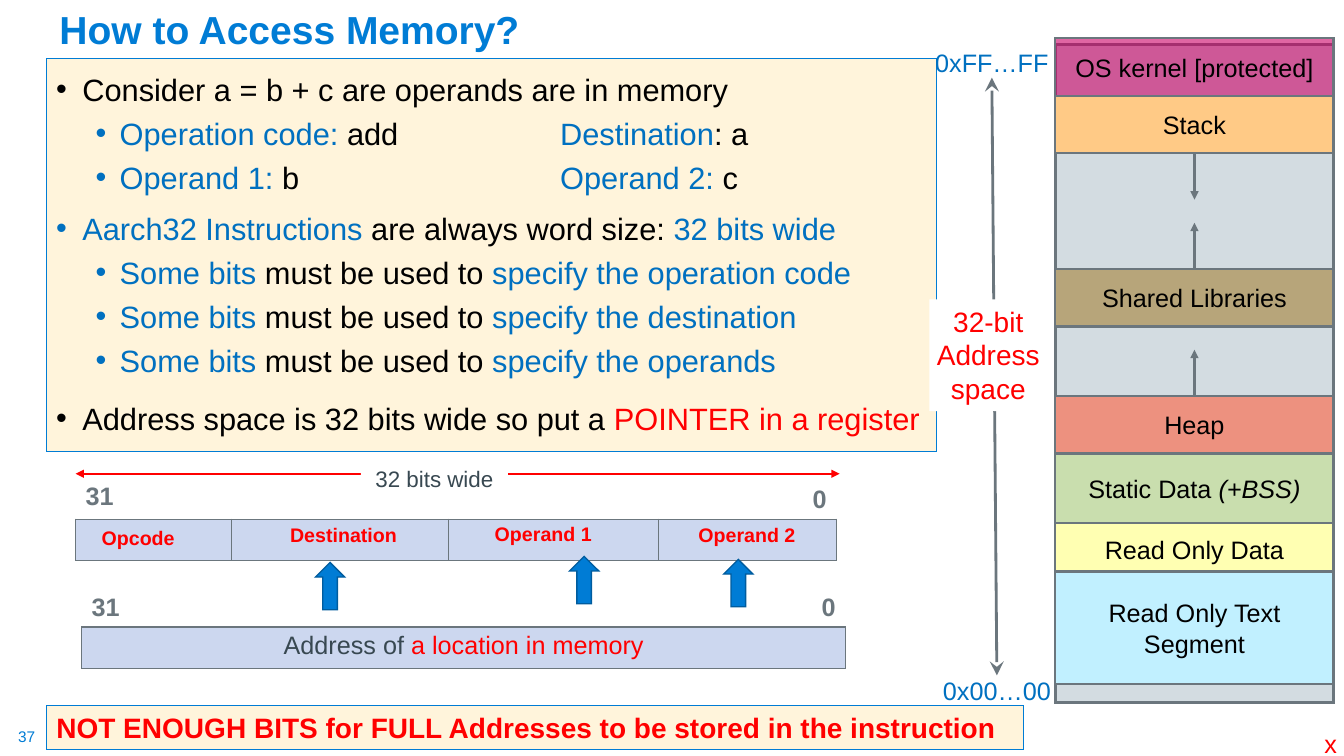
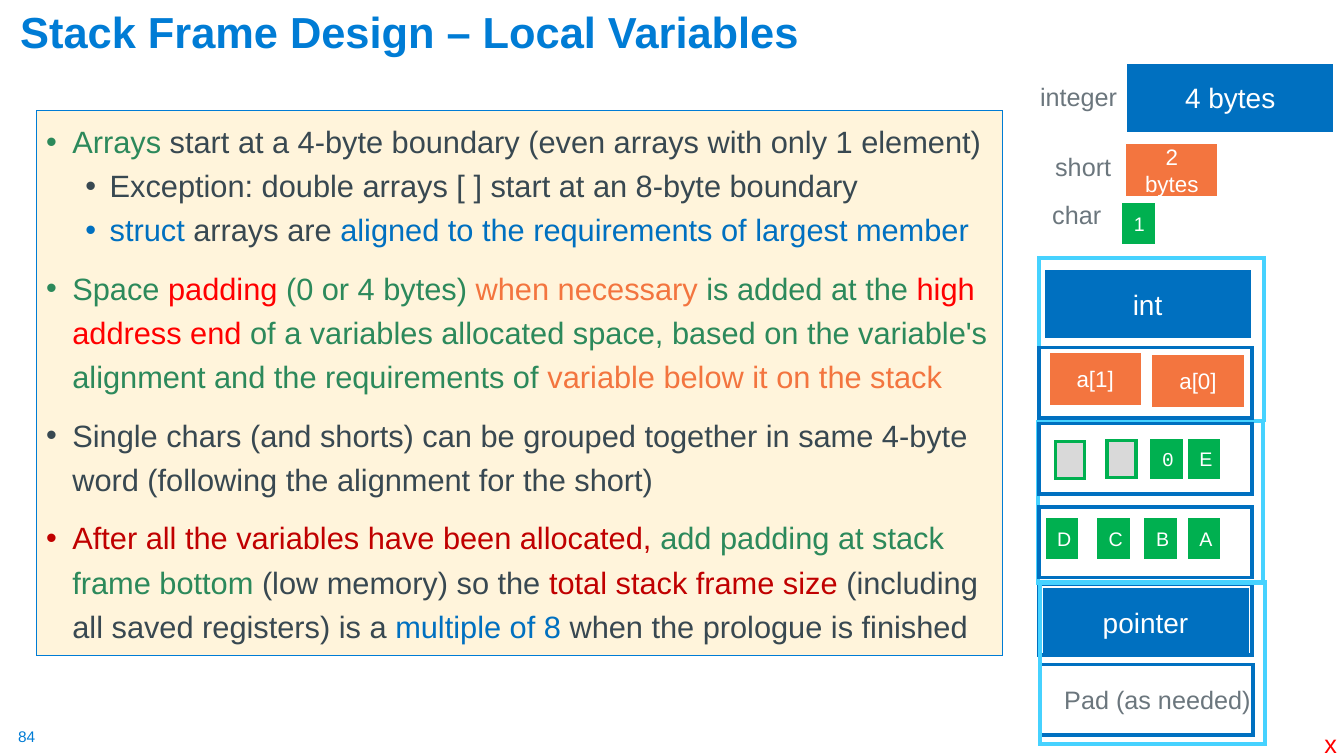
from lxml import etree
from pptx import Presentation
from pptx.dml.color import RGBColor
from pptx.enum import shapes, text
from pptx.oxml.ns import qn
from pptx.util import Inches, Pt

COLORS = {
    "brand": "007CD5", "brand_dark": "005C9E", "blue": "0070C0", "cyan": "46D2FF",
    "red": "FF0000", "dark_red": "C00000", "orange": "F3753F", "green": "2C895B",
    "bright_green": "00B050", "gray": "6B767D", "pale_gray": "D3DCE1", "slot": "D9D9D9",
    "ink": "384851", "black": "000000", "white": "FFFFFF", "cream": "FFF4DB",
    "field": "CCD7EF", "kernel": "CC0066", "stack": "FFCA86", "libraries": "B7A57A",
    "heap": "ED917F", "static": "C9DEAE", "constants": "FFFFB2", "code": "C1F0FF",
}
ALIGN = {"left": text.PP_ALIGN.LEFT, "center": text.PP_ALIGN.CENTER, "right": text.PP_ALIGN.RIGHT}
ANCHOR = {"top": text.MSO_ANCHOR.TOP, "middle": text.MSO_ANCHOR.MIDDLE,
          "bottom": text.MSO_ANCHOR.BOTTOM}
# Per bullet level: left margin, hanging indent, space before, line spacing
BULLETS = [(0.26, -0.26, 10, 1.2), (0.63, -0.24, 5, 1.0)]


def rgb(name):
    return RGBColor.from_string(COLORS[name])


def add_xml(parent, tag, **attributes):
    return etree.SubElement(parent, qn(tag), attributes)


def write_text(paragraph, content, size=18, color="black", bold=False, align="left",
               font="Arial", spacing=None):
    """Fill a paragraph from a string or a list of (text, colour, italic) runs."""
    paragraph.alignment = ALIGN[align]
    if spacing:
        paragraph.line_spacing = spacing
    runs = [(content, color)] if isinstance(content, str) else content
    for words, run_color, *italic in runs:
        run = paragraph.add_run()
        run.text = words
        run.font.name, run.font.size, run.font.bold = font, Pt(size), bold
        run.font.italic = bool(italic and italic[0])
        run.font.color.rgb = rgb(run_color)


def set_frame(frame, anchor="top", margins=(0.1, 0.05), wrap=True):
    frame.word_wrap = wrap
    frame.auto_size = text.MSO_AUTO_SIZE.NONE
    frame.vertical_anchor = ANCHOR[anchor]
    frame.margin_left = frame.margin_right = Inches(margins[0])
    frame.margin_top = frame.margin_bottom = Inches(margins[1])


def add_text(slide, area, content, margins=(0.1, 0.05), wrap=True, **style):
    shape = slide.shapes.add_textbox(*map(Inches, area))
    set_frame(shape.text_frame, margins=margins, wrap=wrap)
    write_text(shape.text_frame.paragraphs[0], content, **style)


def add_box(slide, area, content=None, fill=None, line=None, width=2.5, anchor="middle",
            margins=(0.1, 0.05), kind=shapes.MSO_SHAPE.RECTANGLE, **style):
    shape = slide.shapes.add_shape(kind, *map(Inches, area))
    shape.shadow.inherit = False
    if fill:
        shape.fill.solid()
        shape.fill.fore_color.rgb = rgb(fill)
    else:
        shape.fill.background()
    if line:
        shape.line.color.rgb = rgb(line)
        shape.line.width = Pt(width)
        add_xml(shape.element.spPr.find(qn("a:ln")), "a:miter", lim="800000")
    else:
        shape.line.fill.background()
    if content:
        set_frame(shape.text_frame, anchor, margins)
        write_text(shape.text_frame.paragraphs[0], content, **{"align": "center", **style})
    return shape


def add_bullets(slide, area, bullets):
    """Draw the cream panel; each bullet is (level, runs) with an optional line spacing."""
    frame = add_box(slide, area, fill="cream", line="brand", width=0.75).text_frame
    set_frame(frame)
    for index, (level, runs, *own_spacing) in enumerate(bullets):
        left, indent, before, spacing = BULLETS[level]
        paragraph = frame.add_paragraph() if index else frame.paragraphs[0]
        paragraph.level = level
        properties = paragraph._p.get_or_add_pPr()
        properties.set("marL", str(Inches(left)))
        properties.set("indent", str(Inches(indent)))
        add_xml(properties, "a:buFont", typeface="Arial")
        add_xml(properties, "a:buChar", char="•")
        if any("\t" in run[0] for run in runs):
            tabs = add_xml(properties, "a:tabLst")
            add_xml(tabs, "a:tab", pos=str(Inches(5)), algn="l")
        paragraph.space_before = Pt(before if index else 0)
        write_text(paragraph, runs, size=22, spacing=own_spacing[0] if own_spacing else spacing)


def add_arrow(slide, start, end, color="gray", width=2, head=None, tail=None, tip="med"):
    ends = map(Inches, (*start, *end))
    connector = slide.shapes.add_connector(shapes.MSO_CONNECTOR.STRAIGHT, *ends)
    connector.line.color.rgb = rgb(color)
    connector.line.width = Pt(width)
    properties = connector.element.spPr
    for tag, arrowhead in (("a:headEnd", head), ("a:tailEnd", tail)):
        if arrowhead:
            add_xml(properties.find(qn("a:ln")), tag, type=arrowhead, w=tip, len=tip)
    add_xml(properties, "a:effectLst")


def outline_cell(cell):
    properties = cell._tc.get_or_add_tcPr()
    for position, side in enumerate(("a:lnL", "a:lnR", "a:lnT", "a:lnB")):
        border = etree.Element(qn(side), w=str(Pt(1)))
        add_xml(add_xml(border, "a:solidFill"), "a:srgbClr", val=COLORS["gray"])
        properties.insert(position, border)


def add_word(slide, left, top, columns, merges, zero_column, content=None, anchor="bottom"):
    """Draw a 32-bit word: bit numbers above, fields below; merges are (row, first, last)."""
    row_height = 0.41
    area = (left, top, sum(columns), 2 * row_height)
    table = slide.shapes.add_table(2, len(columns), *map(Inches, area)).table
    table.first_row = table.horz_banding = False
    for column, width in zip(table.columns, columns):
        column.width = Inches(width)
    for row in table.rows:
        row.height = Inches(row_height)
    for index in range(len(columns)):
        field = table.cell(1, index)
        table.cell(0, index).fill.background()
        field.fill.solid()
        field.fill.fore_color.rgb = rgb("field")
        outline_cell(field)
    for row, first, last in merges:
        table.cell(row, first).merge(table.cell(row, last))
    for index, bit, align, place in ((0, "31", "left", anchor),
                                     (zero_column, "0", "right", "bottom")):
        cell = table.cell(0, index)
        cell.vertical_anchor = ANCHOR[place]
        write_text(cell.text_frame.paragraphs[0], bit, color="gray", bold=True, align=align)
    if content:
        write_text(table.cell(1, 0).text_frame.paragraphs[0], content, align="center")


def add_slide(presentation, title, area, size, number):
    """Add a slide with its title, page number and corner mark."""
    slide = presentation.slides.add_slide(presentation.slide_layouts[5])
    shape = slide.shapes.title
    shape.left, shape.top, shape.width, shape.height = map(Inches, area)
    set_frame(shape.text_frame, "bottom")
    write_text(shape.text_frame.paragraphs[0], title, size=size, color="brand", bold=True,
               spacing=0.9)
    add_text(slide, (0.18, 7.21, 0.19, 0.19), number, margins=(0, 0), wrap=False, size=11,
             color="brand")
    add_text(slide, (13.04, 7.18, 0.33, 0.4), "x", wrap=False, color="red")
    return slide


def add_instruction_words(slide):
    add_word(slide, 0.81, 5.81, (3.79, 3.79), [(1, 0, 1)], 1,
             [("Address of ", "ink"), ("a location in memory", "red")])
    add_word(slide, 0.75, 4.74, (1.55, 2.15, 0.39, 1.69, 1.77),
             [(0, 0, 2), (0, 3, 4), (1, 2, 3)], 3, anchor="top")
    for name, left, top in (("Opcode", 0.91, 5.17), ("Destination", 2.78, 5.14),
                            ("Operand 1", 4.81, 5.13), ("Operand 2", 6.83, 5.14)):
        add_text(slide, (left, top, 1.46, 0.34), name, size=14, color="red", bold=True)
    add_arrow(slide, (0.75, 4.7), (8.33, 4.7), "red", 1.5, "triangle", "triangle")
    add_box(slide, (3.58, 4.57, 1.46, 0.37), "32 bits wide", fill="white", anchor="top",
            size=16, color="ink")
    for left, top in ((3.13, 5.58), (5.65, 5.52), (7.18, 5.55)):
        add_box(slide, (left, top, 0.29, 0.47), fill="brand", line="brand_dark", width=1,
                kind=shapes.MSO_SHAPE.UP_ARROW)


def add_memory_map(slide):
    for label, left, top, width in (("0xFF…FF", 9.14, 0.47, 1.4), ("0x00…00", 9.24, 6.7, 1.3)):
        add_text(slide, (left, top, width, 0.3), label, margins=(0.1, 0), color="blue",
                 align="center")
    add_arrow(slide, (9.84, 0.77), (9.89, 6.7), head="stealth", tail="stealth", tip="lg")
    add_box(slide, (9.22, 2.97, 1.17, 1.11), "32-bit Address space", fill="white", anchor="top",
            margins=(0.05, 0.05), size=20, color="red")
    left, width = 10.47, 2.76
    add_box(slide, (left, 0.44, width, 6.53), fill="pale_gray", line="gray", width=2)
    segments = [
        ("OS kernel [protected]", 0.38, 0.57, "kernel"),
        ("Stack", 0.95, 0.57, "stack"),
        ("Heap", 3.93, 0.57, "heap"),
        ([("Static Data", "black"), (" (+BSS)", "black", True)], 4.5, 0.69, "static"),
        ("Shared Libraries", 2.67, 0.57, "libraries"),
        ("Read Only Data", 5.19, 0.52, "constants"),
        ("Read Only Text Segment", 5.67, 1.12, "code"),
    ]
    for name, top, height, fill in segments:
        segment = add_box(slide, (left, top, width, height), name, fill=fill, line="gray",
                          width=1.5)
        if fill == "kernel":
            tint = segment.element.spPr.find(qn("a:solidFill"))[0]
            add_xml(tint, "a:alpha", val="60000")
    middle = left + width / 2
    for start, end in ((1.52, 1.98), (2.67, 2.21), (3.93, 3.47)):
        add_arrow(slide, (middle, start), (middle, end), tail="triangle")


def add_stack_frame(slide):
    frames = {"blue": (2.11, 0.7), "cyan": (2.23, 1.61)}
    for color, left, top in (("blue", 10.31, 5.8), ("cyan", 10.3, 4.18), ("blue", 10.31, 5.03),
                             ("blue", 10.31, 4.2), ("cyan", 10.31, 2.56), ("blue", 10.32, 6.59),
                             ("cyan", 10.32, 5.77), ("blue", 10.31, 3.45)):
        add_box(slide, (left, top, *frames[color]), line=color)
    # Size, fill, outline and text size of a tile for each data width
    tiles = {
        "word": (2.01, 0.64, "blue", "blue", 20),
        "short": (0.87, 0.48, "orange", "orange", 16),
        "char": (0.29, 0.37, "bright_green", "bright_green", 14),
        "empty": (0.29, 0.37, "slot", "bright_green", 14),
    }
    for kind, label, left, top in (
            ("word", "4 bytes", 11.2, 0.65), ("short", "2 bytes", 11.19, 1.45),
            ("char", "1", 11.15, 2.03), ("word", "int", 10.38, 2.7),
            ("short", "a[1]", 10.43, 3.52), ("short", "a[0]", 11.45, 3.54),
            ("empty", None, 10.47, 4.38), ("empty", None, 10.98, 4.37),
            ("char", "0", 11.43, 4.37), ("char", "E", 11.8, 4.37),
            ("char", "D", 10.39, 5.16), ("char", "C", 10.9, 5.16),
            ("char", "B", 11.37, 5.16), ("char", "A", 11.8, 5.16),
            ("word", "pointer", 10.36, 5.85)):
        width, height, fill, line, size = tiles[kind]
        add_box(slide, (left, top, width, height), label, fill=fill, line=line, size=size,
                color="white", font="Courier New" if label == "0" else "Arial")
    for label, left, top, width in (("integer", 10.22, 0.76, 0.97), ("short", 10.37, 1.45, 0.76),
                                    ("char", 10.34, 1.93, 0.69),
                                    ("Pad (as needed)", 10.46, 6.74, 2.07)):
        add_text(slide, (left, top, width, 0.4), label, wrap=False, color="gray")


def build_memory_access(presentation):
    slide = add_slide(presentation, "How to Access Memory?", (0.49, 0.04, 11.5, 0.54), 27.9, "37")
    uses = [(1, [("Some bits ", "blue"), ("must be used to ", "black"),
                 (f"specify the {part}", "blue")])
            for part in ("operation code", "destination", "operands")]
    add_bullets(slide, (0.46, 0.58, 8.83, 3.9), [
        (0, [("Consider a = b + c are operands are in memory", "black")]),
        (1, [("Operation code: ", "blue"), ("add\t", "black"), ("Destination", "blue"),
             (": a", "black")]),
        (1, [("Operand 1: ", "blue"), ("b\t", "black"), ("Operand 2: ", "blue"), ("c", "black")]),
        (0, [("Aarch32 Instructions ", "blue"), ("are always word size: ", "black"),
             ("32 bits wide", "blue")], 1.0),
        *uses,
        (0, [("Address space is 32 bits wide so put a ", "black"),
             ("POINTER in a register", "red")]),
    ])
    add_instruction_words(slide)
    add_box(slide, (0.46, 7, 9.69, 0.44),
            "NOT ENOUGH BITS for FULL Addresses to be stored in the instruction",
            fill="cream", line="brand", width=0.75, anchor="top", size=20, color="red",
            bold=True, align="left")
    add_memory_map(slide)


def build_stack_frame(presentation):
    slide = add_slide(presentation, "Stack Frame Design – Local Variables",
                      (0.1, 0.12, 9.39, 0.5), 31, "84")
    add_bullets(slide, (0.36, 1.1, 9.59, 5.4), [
        (0, [("Arrays", "green"),
             (" start at a 4-byte boundary (even arrays with only 1 element)", "ink")]),
        (1, [("Exception: double arrays [ ] start at an 8-byte boundary", "ink")]),
        (1, [("struct", "blue"), (" arrays are ", "ink"),
             ("aligned to the requirements of largest member", "blue")]),
        (0, [("Space ", "green"), ("padding", "red"), (" (0 or 4 bytes) ", "green"),
             ("when necessary", "orange"), (" is added at the ", "green"),
             ("high address end ", "red"),
             ("of a variables allocated space, based on the variable's alignment and the "
              "requirements of ", "green"),
             ("variable below it on the stack", "orange")]),
        (0, [("Single chars (and shorts) can be grouped together in same 4-byte word "
              "(following the alignment for the short)", "ink")]),
        (0, [("After all the variables have been allocated, ", "dark_red"),
             ("add padding at stack frame bottom ", "green"),
             ("(low memory) so the ", "ink"), ("total stack frame size ", "dark_red"),
             ("(including all saved registers) is a ", "ink"), ("multiple of 8 ", "blue"),
             ("when the prologue is finished", "ink")]),
    ])
    add_stack_frame(slide)


def main():
    presentation = Presentation()
    presentation.slide_width, presentation.slide_height = Inches(40 / 3), Inches(7.5)
    build_memory_access(presentation)
    build_stack_frame(presentation)
    presentation.save("out.pptx")


if __name__ == "__main__":
    main()
